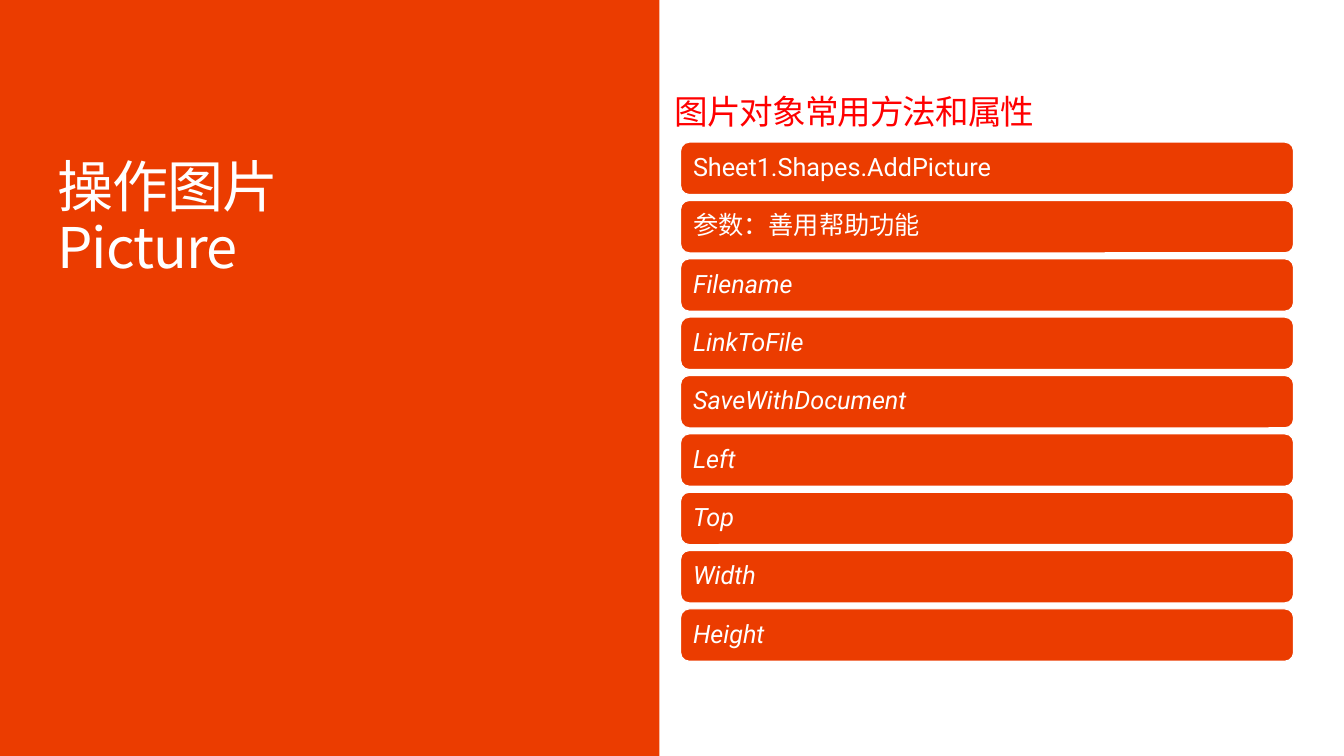
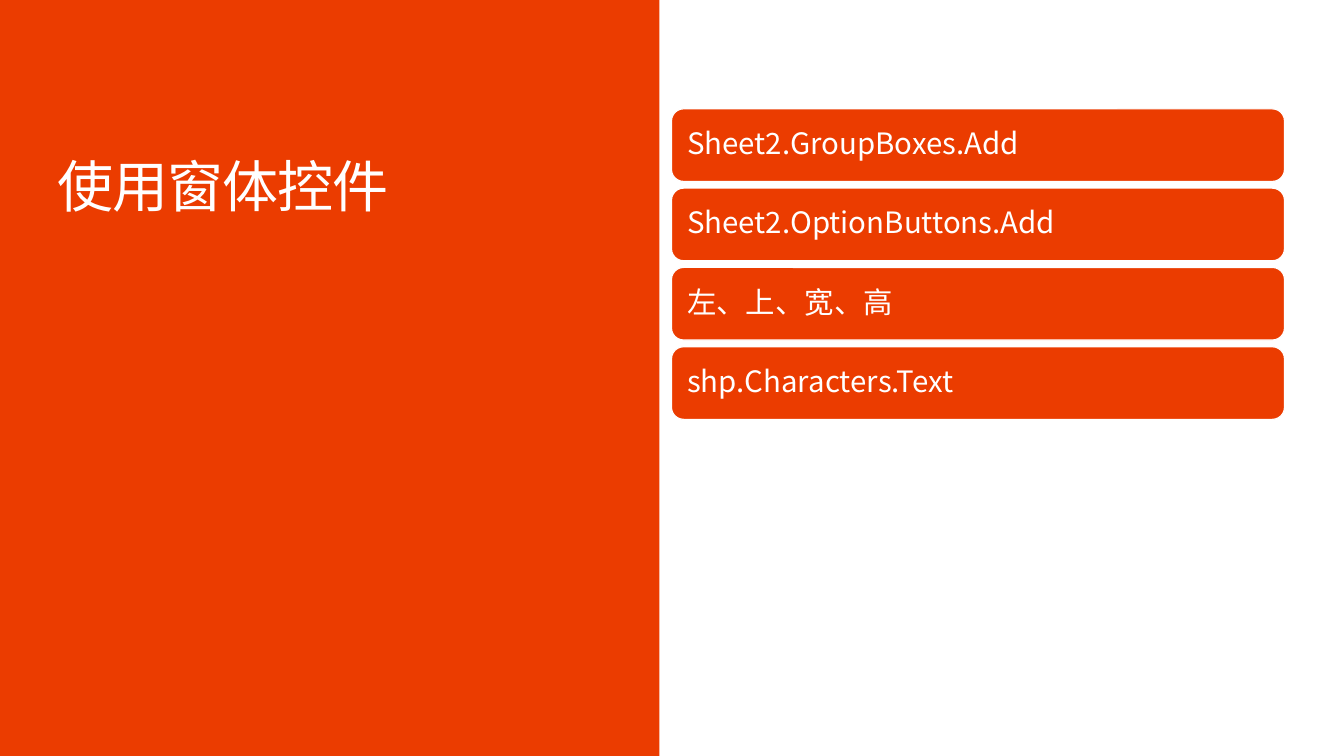
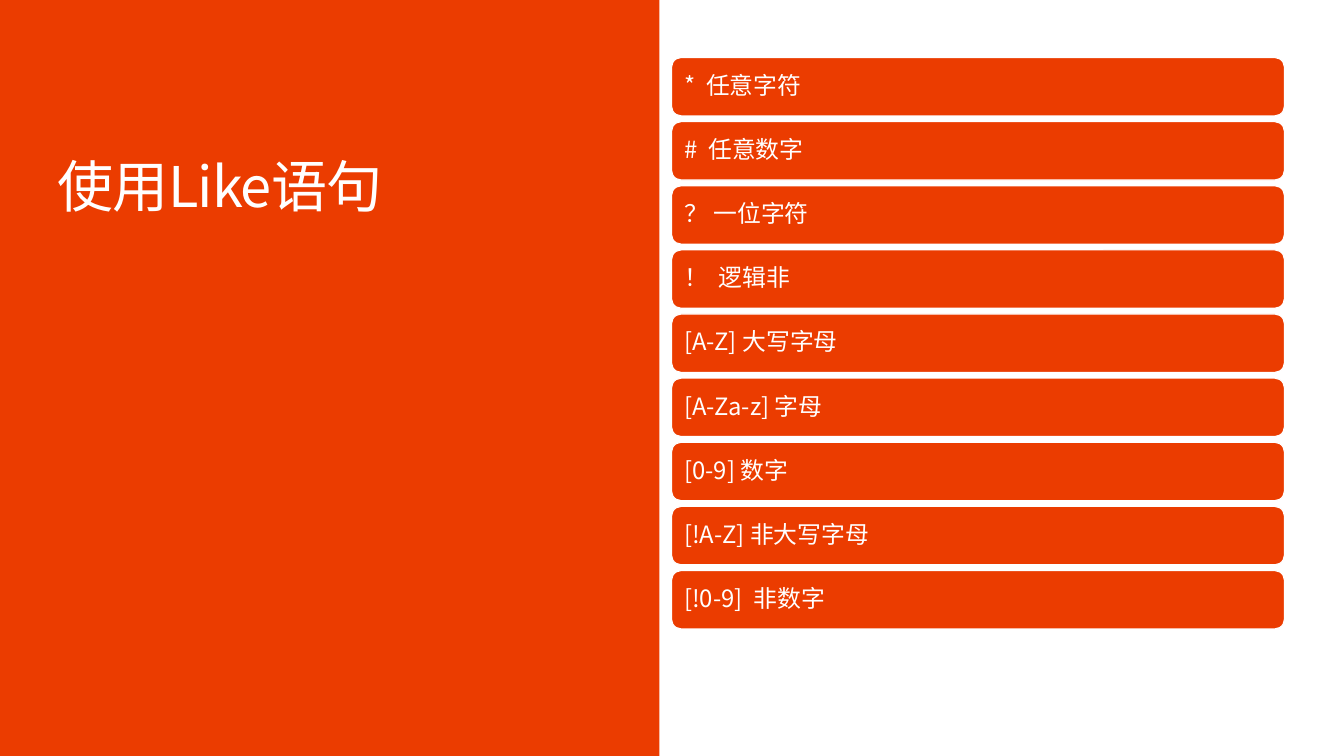
"""Build three slides, each with a title panel and a stack of bars."""
from pptx import Presentation
from pptx.dml.color import RGBColor
from pptx.enum import shapes, text as txt
from pptx.oxml import ns
from pptx.util import Inches, Pt
from lxml import etree

ORANGE = RGBColor(0xEB, 0x3C, 0x00)
WHITE = RGBColor(0xFF, 0xFF, 0xFF)
RED = RGBColor(0xFF, 0x00, 0x00)
SANS = "Noto Sans CJK SC"
LATIN = "Roboto"
BAR_W = 6.08


def write(frame, lines, size, color=WHITE, font=SANS, italic=False,
          inset=0, wrap=True, anchor=txt.MSO_ANCHOR.TOP, track=None,
          lead=None):
    frame.word_wrap = wrap
    frame.vertical_anchor = anchor
    frame.margin_left = frame.margin_right = Inches(inset)
    frame.margin_top = frame.margin_bottom = Inches(inset)
    for i, line in enumerate(lines):
        para = frame.add_paragraph() if i else frame.paragraphs[0]
        para.alignment = txt.PP_ALIGN.LEFT
        if lead:
            para.line_spacing = lead
        run = para.add_run()
        run.text = line
        run.font.size = Pt(size)
        run.font.name = font
        run.font.italic = italic
        run.font.color.rgb = color
        props = run.font._element
        etree.SubElement(props, ns.qn("a:ea")).set("typeface", font)
        if track:
            props.set("spc", str(round(track * 100)))


def box(slide, kind, left, top, width, height):
    shape = slide.shapes.add_shape(
        kind, Inches(left), Inches(top), Inches(width), Inches(height))
    shape.shadow.inherit = False
    shape.fill.solid()
    shape.fill.fore_color.rgb = ORANGE
    shape.line.fill.background()
    return shape


def label(slide, lines, left, top, width, height, **style):
    area = slide.shapes.add_textbox(
        Inches(left), Inches(top), Inches(width), Inches(height))
    write(area.text_frame, lines, track=-0.7, **style)


def base(deck, title):
    slide = deck.slides.add_slide(deck.slide_layouts[6])
    box(slide, shapes.MSO_SHAPE.RECTANGLE, -0.01, 0, 6.55, 7.5)
    label(slide, title, 0.57, 1.58, 5.72, 1.82, size=40, lead=0.9)
    return slide


def stack(slide, items, left, first, last, height, plain=None, **style):
    step = (last - first) / (len(items) - 1)
    plain = len(items) if plain is None else plain
    for i, item in enumerate(items):
        bar = box(slide, shapes.MSO_SHAPE.ROUNDED_RECTANGLE,
                  left, first + i * step, BAR_W, height)
        bar.line.color.rgb = WHITE
        bar.line.width = Pt(0.85)
        write(bar.text_frame, [item], italic=i >= plain, lead=0.9,
              anchor=txt.MSO_ANCHOR.MIDDLE, **style)


def main():
    deck = Presentation()
    deck.slide_width = Inches(13.33)
    deck.slide_height = Inches(7.5)

    slide = base(deck, ["操作图片", "Picture"])
    stack(slide, ["Sheet1.Shapes.AddPicture", "参数：善用帮助功能", "Filename",
                  "LinkToFile", "SaveWithDocument", "Left", "Top", "Width",
                  "Height"],
          6.75, 1.41, 6.04, 0.52, plain=2, size=18, font=LATIN, inset=0.1)
    label(slide, ["图片对象常用方法和属性"], 6.69, 0.9, 3.59, 0.4,
          size=24, color=RED, wrap=False)

    slide = base(deck, ["使用窗体控件"])
    stack(slide, ["Sheet2.GroupBoxes.Add", "Sheet2.OptionButtons.Add",
                  "左、上、宽、高", "shp.Characters.Text"],
          6.66, 1.08, 3.44, 0.72, size=21, inset=0.12)

    slide = base(deck, ["使用Like语句"])
    stack(slide, ["*  任意字符", "#  任意数字", "？ 一位字符", "！  逻辑非",
                  "[A-Z] 大写字母", "[A-Za-z] 字母", "[0-9] 数字",
                  "[!A-Z] 非大写字母", "[!0-9]  非数字"],
          6.66, 0.57, 5.66, 0.58, size=17, inset=0.1)

    deck.save("out.pptx")


if __name__ == "__main__":
    main()
